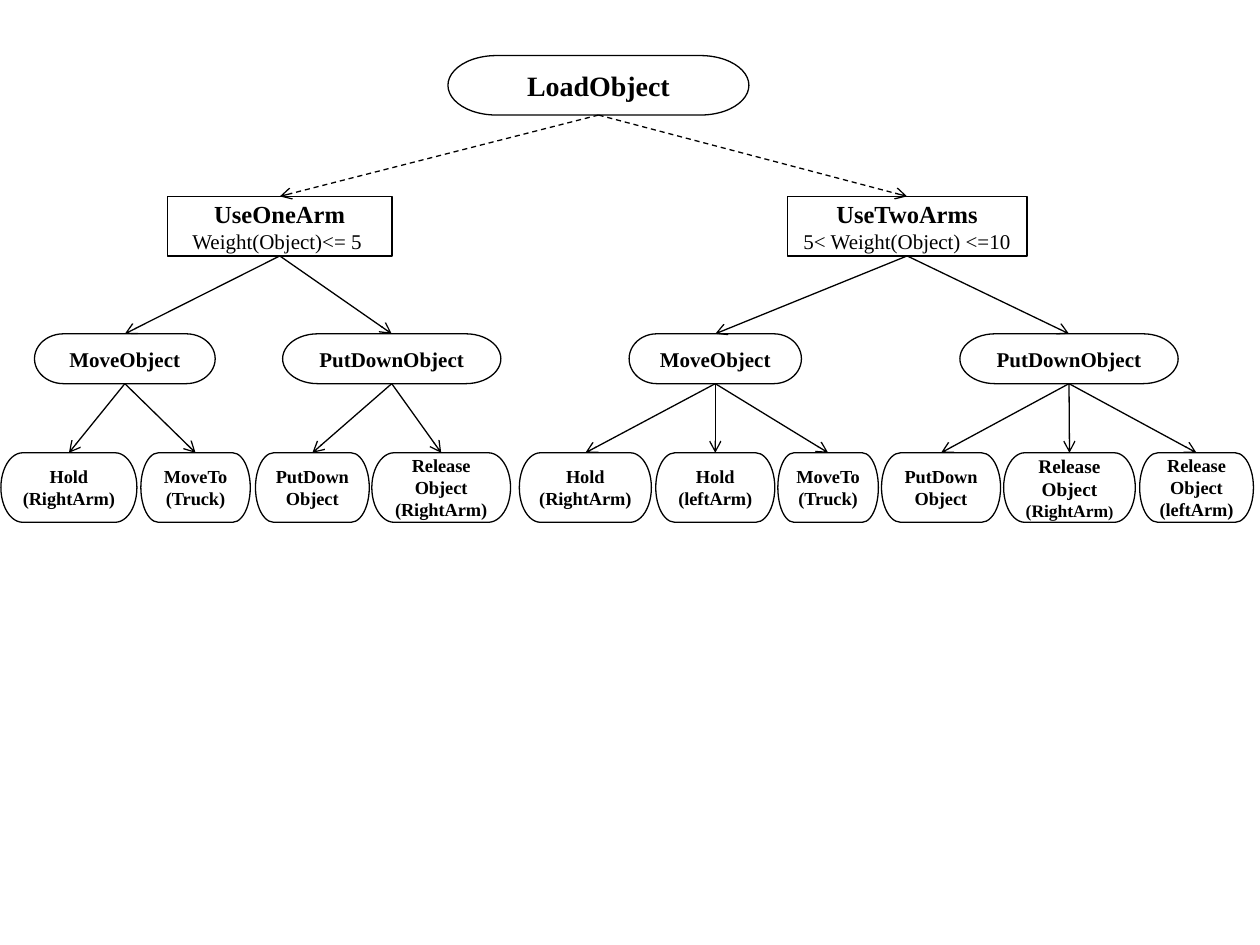
from lxml.etree import SubElement
from pptx import Presentation
from pptx.dml.color import RGBColor
from pptx.enum.dml import MSO_LINE_DASH_STYLE as Dash
from pptx.enum.shapes import MSO_CONNECTOR as Connector, MSO_SHAPE as Shape
from pptx.enum.text import MSO_ANCHOR as Anchor, PP_ALIGN as Align
from pptx.oxml.ns import qn
from pptx.util import Pt

FONT, BLACK, WHITE = "Times New Roman", "000000", "FFFFFF"
BOTTOM_SITE, TOP_SITE = 2, 0

# One entry per level of the tree; sizes are for the first and later lines.
LEVELS = [
    dict(top=31.75, height=34, kind=Shape.FLOWCHART_TERMINATOR, line=0.75, sizes=(16, 16)),
    dict(top=112.25, height=34, kind=Shape.RECTANGLE, line=1, sizes=(14, 12), later_bold=False),
    dict(top=190.75, height=28.5, kind=Shape.FLOWCHART_TERMINATOR, line=0.75, sizes=(12, 12)),
    dict(top=258.75, height=39.75, kind=Shape.FLOWCHART_TERMINATOR, line=0.75, sizes=(10.5, 10.5)),
]

# Node: left, width, lines, children. A line is a string or a list of (text, size).
TREE = (256, 172, ["LoadObject"], [
    (95.75, 128.25, ["UseOneArm", "Weight(Object)<= 5 "], [
        (19.75, 103.25, ["MoveObject"], [
            (0.5, 77.75, ["Hold", "(RightArm)"], []),
            (80.5, 62.5, ["MoveTo", "(Truck)"], []),
        ]),
        (161.5, 124.75, ["PutDownObject"], [
            (146, 65, ["PutDown", "Object"], []),
            (212.5, 79.25, ["Release", "Object", "(RightArm)"], []),
        ]),
    ]),
    (450, 136.75, ["UseTwoArms", "5< Weight(Object) <=10"], [
        (359.5, 98.5, ["MoveObject"], [
            (296.75, 75.5, ["Hold", "(RightArm)"], []),
            (374.75, 68, ["Hold", "(leftArm)"], []),
            (444.5, 57.5, ["MoveTo", "(Truck)"], []),
        ]),
        (548.5, 124.75, ["PutDownObject"], [
            (503.75, 68, ["PutDown", "Object"], []),
            (573.5, 75.25, [[("Release", 11)], [("Object", 11)],
                            [("(RightArm", 10), (")", 9)]], []),
            (651.25, 65, ["Release", "Object", "(leftArm)"], []),
        ]),
    ]),
])


def color(hex_code):
    return RGBColor.from_string(hex_code)


def add_run(paragraph, text, size, bold=True):
    run = paragraph.add_run()
    run.text = text
    run.font.name, run.font.size, run.font.bold = FONT, Pt(size), bold
    run.font.color.rgb = color(BLACK)


def write(frame, lines, sizes, later_bold=True):
    frame.word_wrap = False
    frame.vertical_anchor = Anchor.MIDDLE
    frame.margin_left = frame.margin_right = frame.margin_top = frame.margin_bottom = 0
    for i, line in enumerate(lines):
        paragraph = frame.add_paragraph() if i else frame.paragraphs[0]
        paragraph.alignment = Align.CENTER
        runs = [(line, sizes[min(i, 1)])] if isinstance(line, str) else line
        for text, size in runs:
            add_run(paragraph, text, size, bold=later_bold or i == 0)


def add_node(shapes, left, width, lines, level):
    node = shapes.add_shape(level["kind"], Pt(left), Pt(level["top"]),
                            Pt(width), Pt(level["height"]))
    node.shadow.inherit = False
    node.fill.solid()
    node.fill.fore_color.rgb = color(WHITE)
    node.line.color.rgb = color(BLACK)
    node.line.width = Pt(level["line"])
    write(node.text_frame, lines, level["sizes"], level.get("later_bold", True))
    return node


def add_arrow(shapes, parent, child, dashed):
    arrow = shapes.add_connector(Connector.STRAIGHT, 0, 0, 0, 0)
    arrow.begin_connect(parent, BOTTOM_SITE)
    arrow.end_connect(child, TOP_SITE)
    arrow.line.color.rgb = color(BLACK)
    arrow.line.width = Pt(0.75)
    if dashed:
        arrow.line.dash_style = Dash.DASH
    SubElement(arrow.line._get_or_add_ln(), qn("a:tailEnd"), type="arrow")
    SubElement(arrow._element.spPr, qn("a:effectLst"))


def add_tree(shapes, tree, depth=0):
    """Draw a node and all below it, and return the node's shape."""
    left, width, lines, children = tree
    node = add_node(shapes, left, width, lines, LEVELS[depth])
    for subtree in children:
        child = add_tree(shapes, subtree, depth + 1)
        add_arrow(shapes, node, child, dashed=depth == 0)
    return node


def main():
    deck = Presentation()
    deck.slide_width, deck.slide_height = Pt(720), Pt(540)
    slide = deck.slides.add_slide(deck.slide_layouts[6])
    add_tree(slide.shapes, TREE)
    deck.save("out.pptx")


if __name__ == "__main__":
    main()
